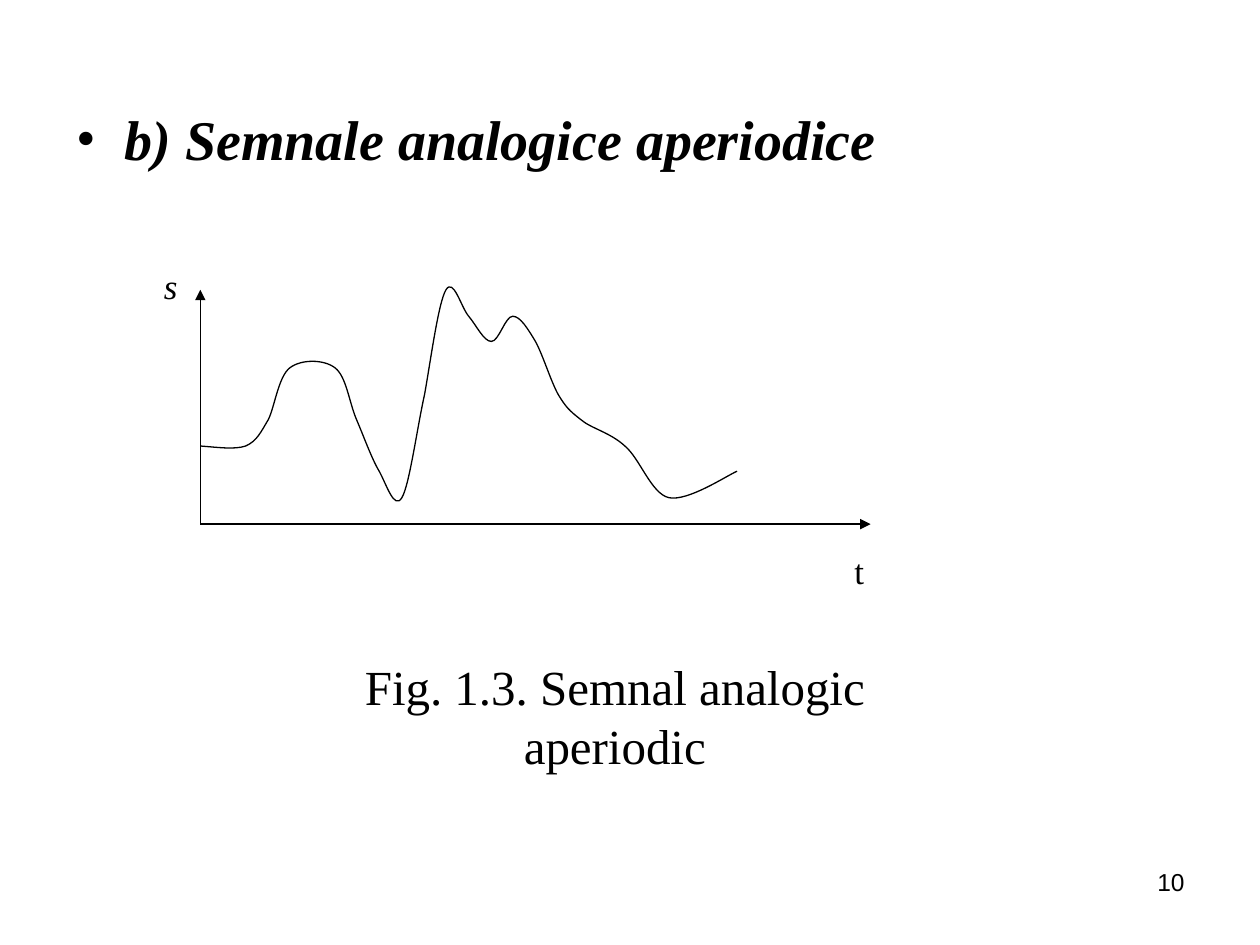
from dataclasses import dataclass

from lxml import etree
from pptx import Presentation
from pptx.dml.color import RGBColor
from pptx.enum import shapes, text
from pptx.oxml import ns
from pptx.util import Inches, Pt

COLORS = {"ink": "000000", "paper": "FFFFFF"}
SERIF, SANS = "Times New Roman", "Arial"
ALIGN = text.PP_ALIGN


@dataclass
class Label:
    words: str
    box: tuple[float, float, float, float]
    size: float
    align: ALIGN
    font: str = SERIF
    bold: bool = False
    italic: bool = False
    inset: tuple[float, float] = (0.1, 0.05)
    anchor: text.MSO_ANCHOR = text.MSO_ANCHOR.TOP


def color(name: str) -> RGBColor:
    return RGBColor.from_string(COLORS[name])


def sub(parent, tag: str, **attributes: str):
    return etree.SubElement(parent, ns.qn(tag), **attributes)


def write(shape, label: Label):
    """Fill a shape with the label's text and return its paragraph."""
    frame = shape.text_frame
    frame.word_wrap = True
    frame.vertical_anchor = label.anchor
    frame.margin_left = frame.margin_right = Inches(label.inset[0])
    frame.margin_top = frame.margin_bottom = Inches(label.inset[1])
    paragraph = frame.paragraphs[0]
    paragraph.alignment = label.align
    run = paragraph.add_run()
    run.text = label.words
    run.font.name, run.font.size = label.font, Pt(label.size)
    run.font.bold, run.font.italic = label.bold, label.italic
    run.font.color.rgb = color("ink")
    return paragraph


def add_text(parent, label: Label):
    return write(parent.add_textbox(*map(Inches, label.box)), label)


def add_axis_label(parent, label: Label) -> None:
    plate = parent.add_shape(shapes.MSO_SHAPE.RECTANGLE, *map(Inches, label.box))
    plate.shadow.inherit = False
    plate.fill.solid()
    plate.fill.fore_color.rgb = color("paper")
    plate.line.fill.background()
    write(plate, label)


def ink_line(line) -> None:
    line.color.rgb = color("ink")
    line.width = Pt(0.75)


def add_axis(parent, start: tuple[float, float], end: tuple[float, float]) -> None:
    axis = parent.add_connector(shapes.MSO_CONNECTOR.STRAIGHT,
                                *map(Inches, start + end))
    ink_line(axis.line)
    sub(axis.line._get_or_add_ln(), "a:tailEnd", type="triangle")
    sub(axis._element.spPr, "a:effectLst")


def add_curve(parent, points: list[tuple[float, float]]) -> None:
    """Draw a start point followed by Bezier triples (two controls, one end)."""
    start, *rest = [(Inches(x), Inches(y)) for x, y in points]
    builder = parent.build_freeform(*start)
    builder.add_line_segments(rest, close=False)
    curve = builder.convert_to_shape()
    curve.shadow.inherit = False
    curve.fill.background()
    ink_line(curve.line)
    # Turn every three straight segments into one cubic segment
    outline = curve._element.find(".//" + ns.qn("a:path"))
    segments = outline.findall(ns.qn("a:lnTo"))
    for i in range(0, len(segments), 3):
        cubic = sub(outline, "a:cubicBezTo")
        for segment in segments[i:i + 3]:
            cubic.append(segment[0])
            outline.remove(segment)


HEADING = Label("b) Semnale analogice aperiodice", (0.51, 0.84, 9, 0.58), 32,
                ALIGN.LEFT, bold=True, italic=True)
CAPTION = Label("Fig. 1.3. Semnal analogic aperiodic", (2.48, 5.16, 4.8, 1.04), 28,
                ALIGN.CENTER, anchor=text.MSO_ANCHOR.MIDDLE)
PAGE_NUMBER = Label("10", (7.17, 6.83, 2.33, 0.52), 14, ALIGN.RIGHT, font=SANS)
AXIS_LABELS = [
    Label("s", (1.06, 2.1, 0.35, 0.41), 20, ALIGN.RIGHT, italic=True, inset=(0, 0)),
    Label("t", (6.2, 4.36, 1.24, 0.41), 20, ALIGN.CENTER, inset=(0, 0)),
]
ORIGIN = (1.59, 4.16)
AXIS_ENDS = [(1.59, 2.3), (6.91, 4.16)]
SIGNAL = [
    (1.59, 3.54),
    (1.73, 3.55), (1.86, 3.57), (1.95, 3.54),
    (2.04, 3.5), (2.07, 3.43), (2.13, 3.33),
    (2.18, 3.23), (2.21, 2.99), (2.3, 2.92),
    (2.39, 2.85), (2.57, 2.85), (2.66, 2.92),
    (2.75, 2.99), (2.77, 3.19), (2.83, 3.33),
    (2.89, 3.47), (2.95, 3.64), (3.01, 3.74),
    (3.07, 3.85), (3.13, 4.05), (3.19, 3.95),
    (3.25, 3.85), (3.31, 3.4), (3.37, 3.13),
    (3.42, 2.85), (3.48, 2.4), (3.54, 2.3),
    (3.6, 2.2), (3.66, 2.44), (3.72, 2.51),
    (3.78, 2.58), (3.84, 2.71), (3.9, 2.71),
    (3.96, 2.71), (4.01, 2.51), (4.07, 2.51),
    (4.13, 2.51), (4.19, 2.61), (4.25, 2.71),
    (4.31, 2.82), (4.37, 3.02), (4.43, 3.13),
    (4.49, 3.23), (4.52, 3.26), (4.61, 3.33),
    (4.69, 3.4), (4.84, 3.43), (4.96, 3.54),
    (5.08, 3.64), (5.17, 3.92), (5.31, 3.95),
    (5.46, 3.98), (5.76, 3.78), (5.85, 3.74),
]


def main() -> None:
    deck = Presentation()
    deck.slide_width, deck.slide_height = Inches(10), Inches(7.5)
    slide = deck.slides.add_slide(deck.slide_layouts[6])

    add_text(slide.shapes, PAGE_NUMBER)

    # Bulleted heading
    heading = add_text(slide.shapes, HEADING)
    heading.line_spacing = 0.9
    heading.space_before = Pt(8)
    bullet = heading._p.get_or_add_pPr()
    bullet.set("marL", str(Inches(0.38)))
    bullet.set("indent", str(-Inches(0.38)))
    sub(sub(bullet, "a:buClr"), "a:srgbClr", val=COLORS["ink"])
    sub(bullet, "a:buFont", typeface=SERIF)
    sub(bullet, "a:buChar", char="•")

    # Signal diagram: axes, curve and axis names
    diagram = slide.shapes.add_group_shape().shapes
    for end in AXIS_ENDS:
        add_axis(diagram, ORIGIN, end)
    add_curve(diagram, SIGNAL)
    for label in AXIS_LABELS:
        add_axis_label(diagram, label)

    add_text(slide.shapes, CAPTION)
    deck.save("out.pptx")


if __name__ == "__main__":
    main()
